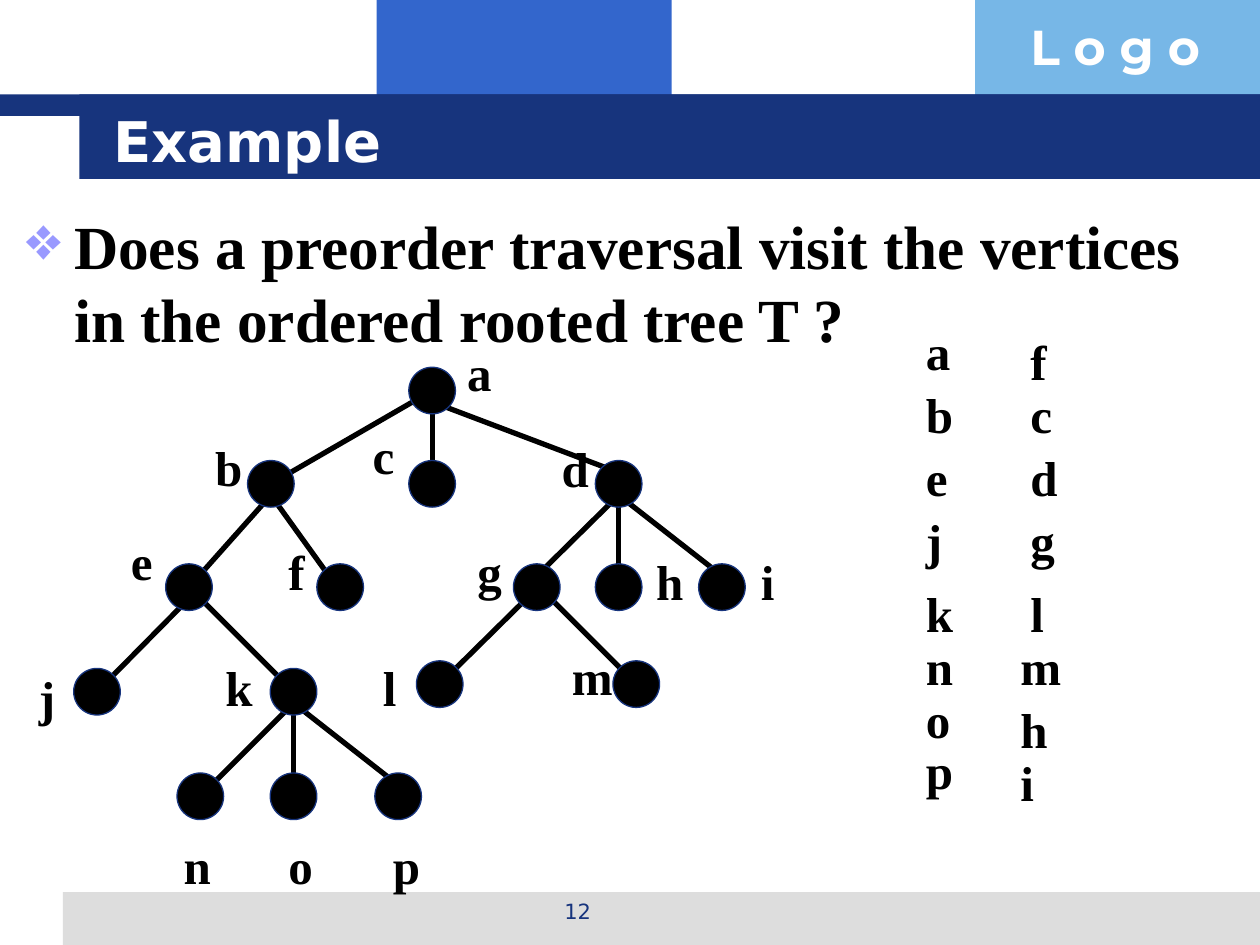
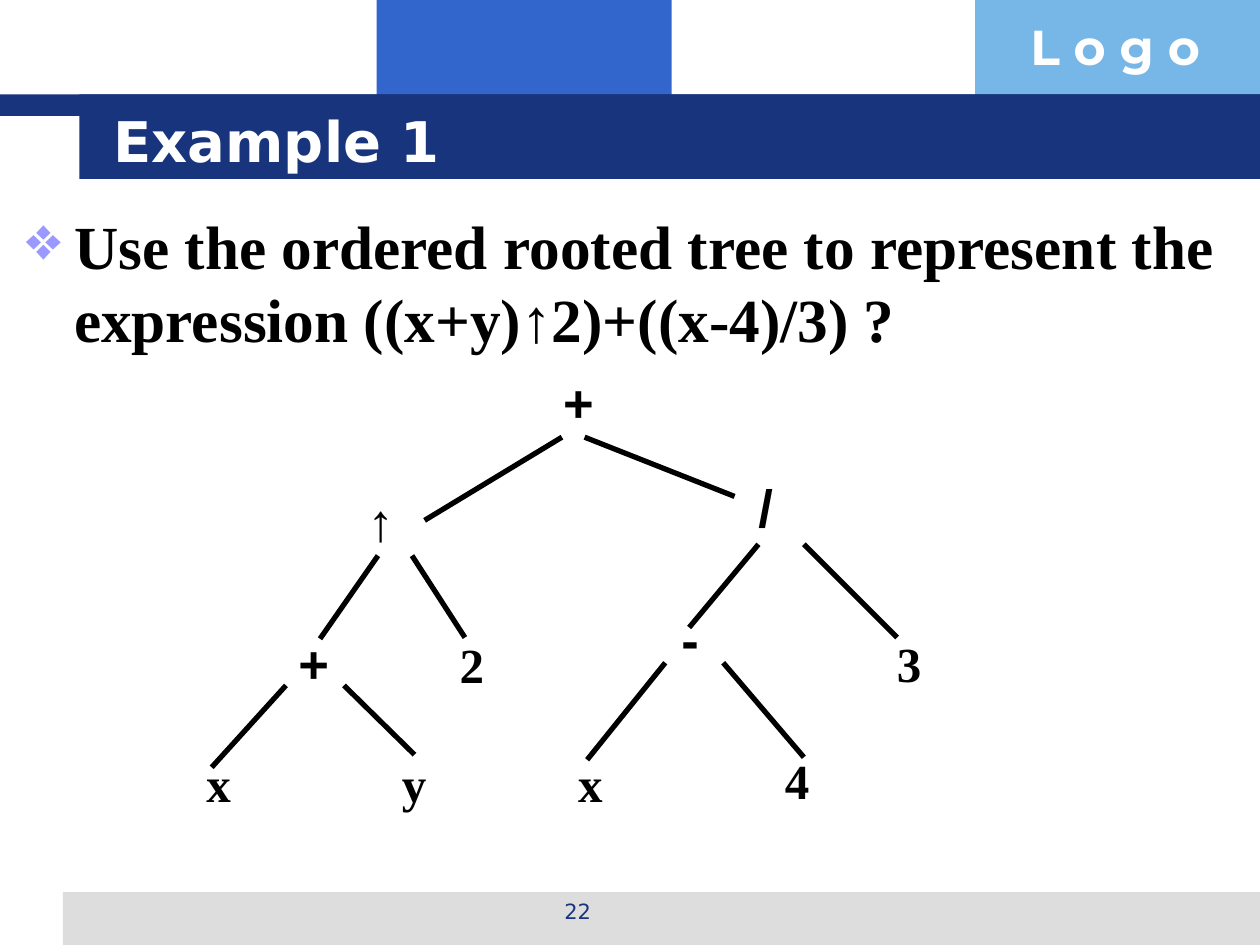
from lxml import etree
from pptx import Presentation
from pptx.dml.color import RGBColor
from pptx.enum.shapes import MSO_CONNECTOR, MSO_SHAPE
from pptx.enum.text import MSO_ANCHOR, PP_ALIGN
from pptx.oxml.ns import qn
from pptx.util import Inches, Pt

NAVY, BLUE, SKY, GREY = "17347D", "3366CC", "77B7E7", "DDDDDD"
WHITE, BLACK, LILAC = "FFFFFF", "000000", "9999FF"
SERIF, SANS, SYMBOL, BRAND = "Times New Roman", "DejaVu Sans", "Arial", "Montserrat"


def color(hex_string):
    return RGBColor.from_string(hex_string)


def write(slide, text, left, top, width=0.42, height=0.57, *, box=None, size=28,
          font=SERIF, ink=BLACK, bold=True, align=PP_ALIGN.LEFT,
          anchor=MSO_ANCHOR.TOP, bullet=None):
    """Put one formatted paragraph in a new text box, or in the given placeholder."""
    box = box or slide.shapes.add_textbox(0, 0, 0, 0)
    box.left, box.top = Inches(left), Inches(top)
    box.width, box.height = Inches(width), Inches(height)
    frame = box.text_frame
    frame.word_wrap = True
    frame.vertical_anchor = anchor
    paragraph = frame.paragraphs[0]
    paragraph.text = text
    paragraph.alignment = align
    if bullet:
        properties = paragraph._p.get_or_add_pPr()
        properties.set("marL", str(Inches(0.38)))
        properties.set("indent", str(Inches(-0.38)))
        bullet_color = etree.SubElement(properties, qn("a:buClr"))
        etree.SubElement(bullet_color, qn("a:srgbClr"), val=LILAC)
        etree.SubElement(properties, qn("a:buChar"), char=bullet)
    style = paragraph.runs[0].font
    style.size, style.name, style.bold = Pt(size), font, bold
    style.color.rgb = color(ink)
    return box


prs = Presentation()
prs.slide_width, prs.slide_height = Inches(10), Inches(7.5)
layout = prs.slide_layouts[5]
for placeholder in list(layout.placeholders)[1:]:
    placeholder.element.getparent().remove(placeholder.element)

# Title, question and page number of each slide
pages = [
    ("Example", "12",
     "Does a preorder traversal visit the vertices in the ordered rooted tree T ?"),
    ("Example 1", "22",
     "Use the ordered rooted tree to represent the expression ((x+y)↑2)+((x-4)/3) ?"),
]
for heading, number, question in pages:
    slide = prs.slides.add_slide(layout)
    write(slide, heading, 0.8, 0.8, 8.53, 0.62, box=slide.shapes.title, size=32,
          font=SANS, ink=WHITE, anchor=MSO_ANCHOR.MIDDLE)
    write(slide, question, 0.11, 1.6, 9.83, 5.28, size=35, bullet="❖")
    write(slide, number, 3.42, 7.08, 2.33, 0.35, size=12, font=SANS, ink=NAVY,
          bold=False, align=PP_ALIGN.CENTER)
traversal, expression = prs.slides

# Bands and header word, moved to the layout so that both slides share them
bands = [
    (2.99, 0, 2.34, 0.92, BLUE),
    (7.74, 0, 2.26, 0.92, SKY),
    (0.5, 7.08, 9.5, 0.42, GREY),
    (0, 0.75, 10, 0.17, NAVY),
    (0.63, 0.75, 9.37, 0.67, NAVY),
]
shared = []
for left, top, width, height, fill in bands:
    band = traversal.shapes.add_shape(MSO_SHAPE.RECTANGLE, Inches(left), Inches(top),
                                      Inches(width), Inches(height))
    band.shadow.inherit = False
    band.fill.solid()
    band.fill.fore_color.rgb = color(fill)
    band.line.fill.background()
    shared.append(band)
shared.append(write(traversal, "L o g o", 8.08, 0.08, 1.93, font=BRAND, ink=WHITE))
for part in shared:
    layout.shapes.element.append(part.element)

# Preorder tree: centre of each vertex and left, top of its letter
vertices = {
    "a": (3.43, 3.1, 3.61, 2.67),
    "b": (2.15, 3.84, 1.61, 3.42),
    "c": (3.43, 3.84, 2.86, 3.33),
    "d": (4.91, 3.84, 4.36, 3.43),
    "e": (1.5, 4.66, 0.94, 4.17),
    "f": (2.7, 4.66, 2.19, 4.25),
    "g": (4.26, 4.66, 3.69, 4.25),
    "h": (4.91, 4.66, 5.11, 4.33),
    "i": (5.73, 4.66, 5.94, 4.33),
    "j": (0.77, 5.49, 0.21, 5.25),
    "k": (2.33, 5.49, 1.69, 5.17),
    "l": (3.49, 5.43, 2.94, 5.17),
    "m": (5.05, 5.43, 4.44, 5.08),
    "n": (1.59, 6.32, 1.36, 6.58),
    "o": (2.33, 6.32, 2.19, 6.58),
    "p": (3.16, 6.32, 3.02, 6.58),
}
# Parent and child, then the shift of each end from the vertex centre
links = [
    ("ab", 0, 0, 0, 0), ("ac", 0, 0, 0, 0), ("ad", 0, 0.09, 0, -0.09),
    ("be", 0, 0.09, 0, 0), ("bf", 0, 0.09, -0.09, -0.09),
    ("dg", 0, 0.09, -0.09, 0), ("dh", 0, 0.09, 0, 0), ("di", 0, 0.09, 0, -0.09),
    ("ej", 0, 0.09, 0, 0), ("ek", 0.09, 0.09, -0.09, -0.09),
    ("gl", -0.03, 0.04, 0, 0), ("gm", 0.06, 0.04, -0.09, -0.09),
    ("kn", 0, 0.09, 0, 0), ("ko", 0, 0.09, 0, 0), ("kp", 0, 0.09, 0, -0.09),
]
edges = []
for (parent, child), start_dx, start_dy, end_dx, end_dy in links:
    x1, y1 = vertices[parent][:2]
    x2, y2 = vertices[child][:2]
    edges.append((traversal, x1 + start_dx, y1 + start_dy, x2 + end_dx, y2 + end_dy))

# Expression tree: branches as start and end points
branches = [
    (4.46, 3.47, 3.37, 4.13), (4.64, 3.47, 5.83, 3.94),
    (3, 4.41, 2.54, 5.07), (3.27, 4.41, 3.69, 5.06),
    (2.27, 5.44, 1.68, 6.09), (2.73, 5.44, 3.29, 5.99),
    (6.02, 4.32, 5.47, 4.98), (6.38, 4.32, 7.12, 5.06),
    (5.28, 5.26, 4.66, 6.03), (5.74, 5.26, 6.38, 6.01),
]
edges += [(expression, *branch) for branch in branches]

for slide, *ends in edges:
    edge = slide.shapes.add_connector(MSO_CONNECTOR.STRAIGHT, *map(Inches, ends))
    edge.line.color.rgb = color(BLACK)
    edge.line.width = Pt(3)
    etree.SubElement(edge.element.spPr, qn("a:effectLst"))

diameter = 0.37
for center_x, center_y, *_ in vertices.values():
    dot = traversal.shapes.add_shape(
        MSO_SHAPE.OVAL, Inches(center_x - diameter / 2), Inches(center_y - diameter / 2),
        Inches(diameter), Inches(diameter))
    dot.shadow.inherit = False
    dot.fill.solid()
    dot.fill.fore_color.rgb = color(BLACK)
    dot.line.color.rgb = color(NAVY)
    dot.line.width = Pt(0.75)
for letter, (_, _, left, top) in vertices.items():
    write(traversal, letter, left, top)

# Visiting order, read down the first column and then the second
first_tops = [2.5, 3, 3.5, 4, 4.58, 5, 5.42, 5.83]
second_tops = [2.58, 3, 3.5, 4, 4.58, 5, 5.5, 5.92]
for letter, top in zip("abejknop", first_tops):
    write(traversal, letter, 7.25, top)
for letter, top in zip("fcdglmhi", second_tops):
    write(traversal, letter, 8 if letter in "mhi" else 8.08, top)

operators = [("+", 4.37, 2.89), ("↑", 2.82, 3.83), ("/", 5.92, 3.72),
             ("+", 2.27, 4.96), ("-", 5.31, 4.77)]
operands = [("2", 3.55, 4.99), ("3", 7.02, 4.98), ("x", 1.54, 5.93),
            ("y", 3.09, 5.93), ("x", 4.49, 5.93), ("4", 6.13, 5.91)]
for sign, left, top in operators:
    write(expression, sign, left, top, height=0.6, size=30, font=SYMBOL)
for value, left, top in operands:
    write(expression, value, left, top)

prs.save("out.pptx")
